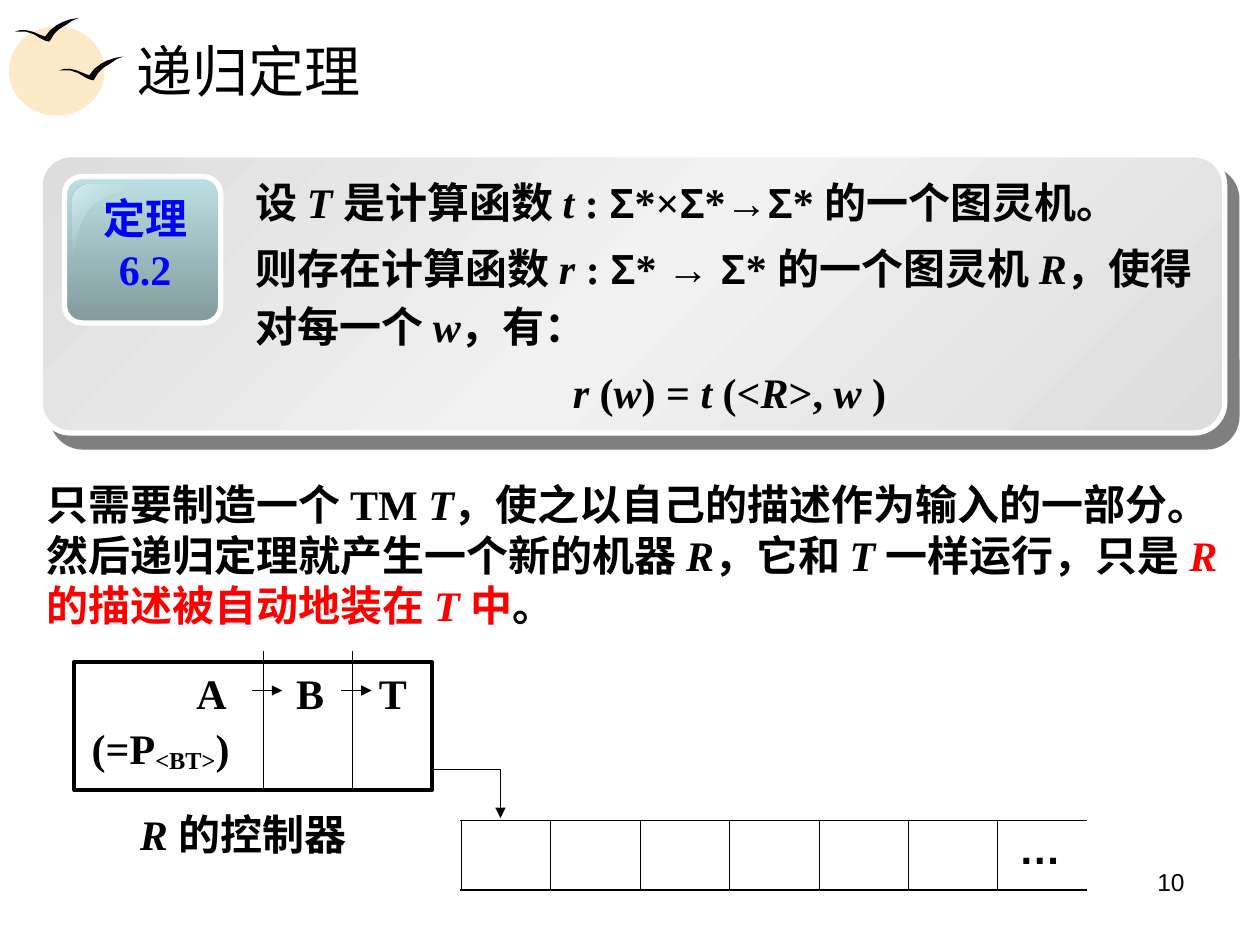
from lxml import etree
from pptx import Presentation
from pptx.dml.color import RGBColor
from pptx.enum.shapes import MSO_CONNECTOR, MSO_SHAPE
from pptx.enum.text import MSO_ANCHOR, MSO_AUTO_SIZE, PP_ALIGN
from pptx.oxml import parse_xml
from pptx.oxml.ns import qn
from pptx.util import Cm, Pt

OVAL, RECT, ROUND = MSO_SHAPE.OVAL, MSO_SHAPE.RECTANGLE, MSO_SHAPE.ROUNDED_RECTANGLE
LINE, ELBOW = MSO_CONNECTOR.STRAIGHT, MSO_CONNECTOR.ELBOW
LEFT, MID, RIGHT = PP_ALIGN.LEFT, PP_ALIGN.CENTER, PP_ALIGN.RIGHT

BLACK = RGBColor(0x00, 0x00, 0x00)
WHITE = RGBColor(0xFF, 0xFF, 0xFF)
RED = RGBColor(0xFF, 0x00, 0x00)
BLUE = RGBColor(0x00, 0x00, 0xFF)
CREAM = RGBColor(0xFE, 0xE9, 0xC8)
GREY = RGBColor(0xDD, 0xDD, 0xDD)
PALE = RGBColor(0xF1, 0xF1, 0xF1)
TEAL = RGBColor(0xBB, 0xE0, 0xE3)
DARK = RGBColor(0x82, 0x9B, 0x9D)
MIST = RGBColor(0xD9, 0xED, 0xEE)

SERIF, SANS = "Times New Roman", "Arial"
NS = 'xmlns:a="http://schemas.openxmlformats.org/drawingml/2006/main"'

BIRD = [(0, 28), (10, 25), (23, 25), (36, 28), (48, 33), (61, 38), (71, 25), (84, 15),
        (97, 8), (112, 3), (130, 0), (117, 5), (102, 15), (89, 23), (79, 33), (71, 46),
        (69, 48), (61, 46), (51, 41), (38, 33), (23, 28), (10, 28)]

THEOREM = [
    [("设 ", ""), ("T ", "i"), ("是计算函数 ", ""), ("t ", "i"), (": ", ""), ("Σ", "a"),
     ("*×", ""), ("Σ", "a"), ("*", ""), ("→Σ", "a"), ("* 的一个图灵机。", "")],
    [("则存在计算函数 ", ""), ("r ", "i"), (": ", ""), ("Σ", "a"), ("* ", ""), ("→ Σ", "a"),
     ("* 的一个图灵机 ", ""), ("R", "i"), ("，使得对每一个 ", ""), ("w", "i"), ("，有：", "")],
    [("r ", "i"), ("(", ""), ("w", "i"), (") = ", ""), ("t ", "i"), ("(<", ""), ("R", "i"),
     (">, ", ""), ("w ", "i"), (")", "")],
]
BODY = [("只需要制造一个 TM ", ""), ("T", "i"),
        ("，使之以自己的描述作为输入的一部分。然后递归定理就产生一个新的机器 ", ""),
        ("R", "i"), ("，它和 ", ""), ("T ", "i"), ("一样运行，只是 ", ""), ("R ", "ir"),
        ("的描述被自动地装在 ", "r"), ("T ", "ir"), ("中", "r"), ("。", "")]


def cms(*nums):
    return [Cm(n) for n in nums]


def style(run, marks="", size=24, color=BLACK, bold=True):
    font = run.font
    font.size, font.bold, font.italic = Pt(size), bold, "i" in marks
    font.name = SANS if "a" in marks else SERIF
    font.color.rgb = RED if "r" in marks else color
    if "s" in marks:
        run._r.get_or_add_rPr().set("baseline", "-10000")


def add_text(slide, box, paras, align=LEFT, wrap=True, **look):
    frame = slide.shapes.add_textbox(*cms(*box)).text_frame
    frame.word_wrap = wrap
    for i, runs in enumerate(paras):
        para = frame.add_paragraph() if i else frame.paragraphs[0]
        para.alignment = align
        for text, marks in runs:
            run = para.add_run()
            run.text = text
            style(run, marks, **look)
    return frame


def blend(shape, stops, angle):
    shape.fill.solid()
    marks = "".join(
        f'<a:gs pos="{pos * 1000}"><a:srgbClr val="{color}">'
        f'<a:alpha val="{alpha * 1000}"/></a:srgbClr></a:gs>'
        for pos, color, alpha in stops)
    grad = parse_xml(f'<a:gradFill {NS} rotWithShape="1"><a:gsLst>{marks}</a:gsLst>'
                     f'<a:lin ang="{angle * 60000}" scaled="0"/></a:gradFill>')
    props = shape._element.spPr
    props.replace(props.find(qn("a:solidFill")), grad)


def add_form(slide, kind, box, fill=None, line=None, width=0, bend=None):
    shape = slide.shapes.add_shape(kind, *cms(*box))
    shape.shadow.inherit = False
    if bend is not None:
        shape.adjustments[0] = bend
    paint(shape, fill)
    if line is not None:
        shape.line.color.rgb, shape.line.width = line, Pt(width)
    return shape


def paint(shape, fill):
    shape.line.fill.background()
    if fill is None:
        shape.fill.background()
    else:
        shape.fill.solid()
        shape.fill.fore_color.rgb = fill


def add_path(slide, points, left, top, fill):
    path = slide.shapes.build_freeform(*points[0], scale=Cm(0.01))
    path.add_line_segments(points[1:], close=True)
    shape = path.convert_to_shape(Cm(left), Cm(top))
    shape.shadow.inherit = False
    paint(shape, fill)
    return shape


def curve(a, b, c, d, steps=10):
    for n in range(1, steps + 1):
        t = n / steps
        u = 1 - t
        yield tuple(round(u**3 * p + 3 * u * u * t * q + 3 * u * t * t * r + t**3 * s)
                    for p, q, r, s in zip(a, b, c, d))


def add_line(slide, ends, kind=LINE, arrow=False):
    link = slide.shapes.add_connector(kind, *cms(*ends))
    link.line.color.rgb, link.line.width = BLACK, Pt(0.75)
    if arrow:
        etree.SubElement(link.line._get_or_add_ln(), qn("a:tailEnd"), type="triangle")
    etree.SubElement(link._element.spPr, qn("a:effectLst"))
    return link


def edge(cell, side, width):
    fill = f'<a:solidFill><a:srgbClr val="{BLACK}"/></a:solidFill>' if width else "<a:noFill/>"
    cell._tc.get_or_add_tcPr().append(
        parse_xml(f'<a:ln{side} {NS} w="{Pt(width)}">{fill}</a:ln{side}>'))


def add_tape(slide, count=7):
    table = slide.shapes.add_table(1, count, *cms(9.3, 16.54, 12.62, 1.4)).table
    table.first_row = table.horz_banding = False
    for i, cell in enumerate(table.iter_cells()):
        edge(cell, "L", 0.45 if i else 1.08)
        edge(cell, "R", 0.45 if i < count - 1 else 0)
        edge(cell, "T", 1.08)
        edge(cell, "B", 1.08)
        cell.fill.background()


def add_head(slide):
    add_form(slide, OVAL, (0.18, 0.53, 1.93, 1.8), CREAM)
    for spot in ((1.19, 1.14), (0.3, 0.36)):
        add_path(slide, BIRD, *spot, BLACK)
    title = slide.shapes.title
    title.left, title.top, title.width, title.height = cms(2.49, 0.53, 21.67, 1.75)
    frame = title.text_frame
    frame.text = "递归定理"
    frame.auto_size = MSO_AUTO_SIZE.NONE
    frame.vertical_anchor = MSO_ANCHOR.MIDDLE
    frame.paragraphs[0].alignment = LEFT
    style(frame.paragraphs[0].runs[0], size=32, bold=False)


def add_panel(slide):
    panel = add_form(slide, ROUND, (0.81, 3.12, 23.88, 5.61), GREY, WHITE, 3, 0.11)
    blend(panel, [(0, GREY, 100), (50, PALE, 100), (100, GREY, 100)], 225)
    glow = panel._element.spPr.find(qn("a:effectLst"))
    glow.append(parse_xml(
        f'<a:outerShdw {NS} dist="{Pt(10.6)}" dir="{49 * 60000}" algn="ctr" rotWithShape="0">'
        f'<a:srgbClr val="{BLACK}"><a:alpha val="50000"/></a:srgbClr></a:outerShdw>'))
    badge = add_form(slide, ROUND, (1.3, 3.56, 3.15, 2.95), TEAL, WHITE, 3, 0.12)
    blend(badge, [(0, TEAL, 100), (100, DARK, 100)], 90)
    edges = [(33, 0), *curve((33, 0), (15, 0), (0, 13), (0, 30)), (0, 147),
             *curve((0, 147), (8, 147), (5, 76), (43, 43)),
             *curve((43, 43), (81, 10), (157, 8), (155, 0))]
    shine = add_path(slide, edges, 1.47, 3.73, MIST)
    blend(shine, [(0, MIST, 100), (50, TEAL, 0), (100, MIST, 100)], 225)
    add_text(slide, (1.73, 3.76, 2.39, 2.29), [[("定理", "")], [("6.2", "")]], MID, color=BLUE)
    frame = add_text(slide, (4.9, 3.28, 19.61, 5.26), THEOREM)
    for i, para in enumerate(frame.paragraphs):
        para.line_spacing = 1.15
        para.space_before = Pt(4.5 if i else 0)
    frame.paragraphs[-1].alignment = MID


def add_unit(slide):
    add_form(slide, RECT, (1.5, 13.34, 7.21, 2.59), None, BLACK, 2.25)
    for x in (5.31, 7.11):
        add_line(slide, (x, 13.13, x, 15.93))
        add_line(slide, (x - 0.23, 13.92, x + 0.38, 13.92), arrow=True)
    for name, x in (("A", 3.71), ("B", 5.72), ("T", 7.39)):
        add_text(slide, (x, 13.34, 1.1, 1.27), [[(name, "")]], wrap=False)
    add_text(slide, (1.6, 14.45, 3.28, 1.3), [[("(=P", ""), ("<BT>", "s"), (")", "")]], wrap=False)
    add_text(slide, (2.57, 16.18, 4.88, 1.27), [[("R ", "i"), ("的控制器", "")]], wrap=False)
    link = add_line(slide, (8.41, 14.81, 10.37, 16.21), ELBOW, True)
    frame = link._element.spPr.find(qn("a:xfrm"))
    frame.set("rot", str(270 * 60000))
    frame.set("flipH", "1")


def main():
    deck = Presentation()
    deck.slide_width, deck.slide_height = cms(25.4, 19.05)
    slide = deck.slides.add_slide(deck.slide_layouts[5])
    add_head(slide)
    add_panel(slide)
    add_text(slide, (0.69, 9.53, 24.31, 3.3), [BODY])
    add_unit(slide)
    add_tape(slide)
    add_text(slide, (20.29, 16.46, 1.35, 1.27), [[("…", "a")]], wrap=False)
    add_text(slide, (18.21, 17.35, 5.92, 1.32), [[("10", "a")]], RIGHT, size=14, bold=False)
    deck.save("out.pptx")


if __name__ == "__main__":
    main()
